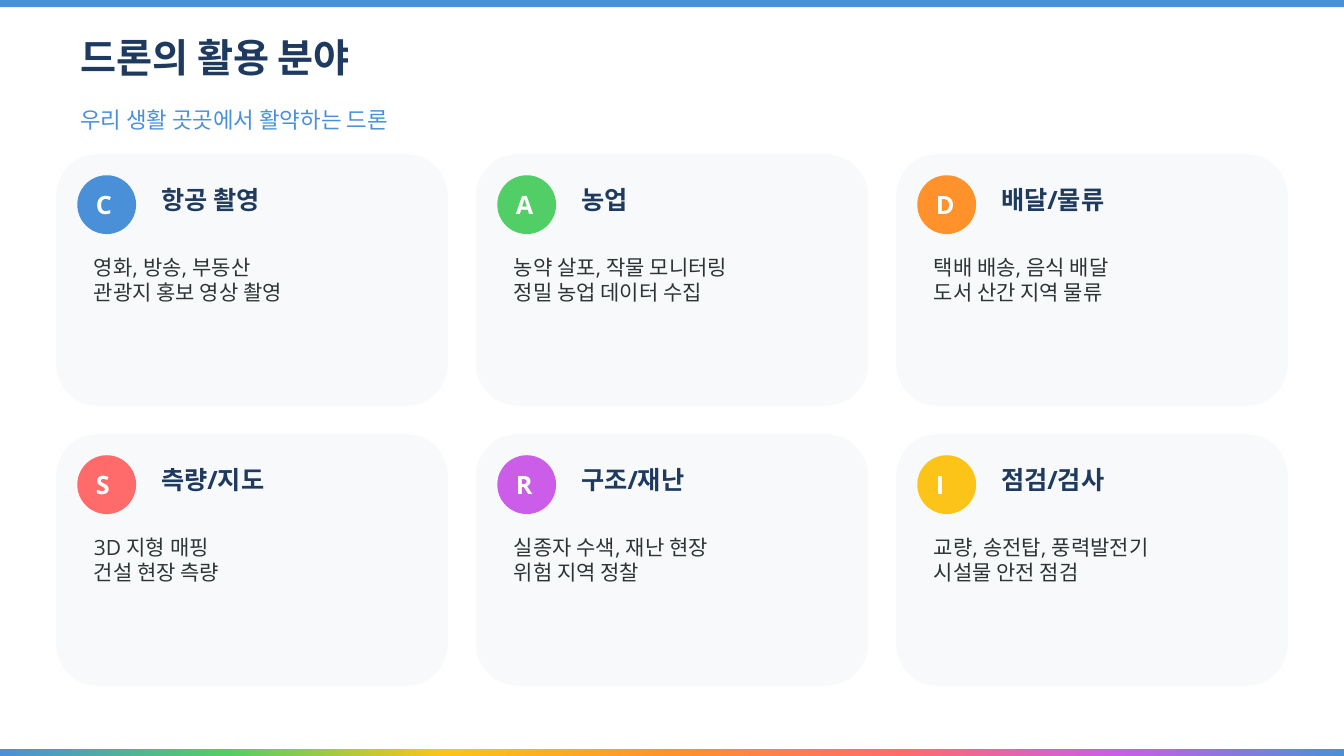
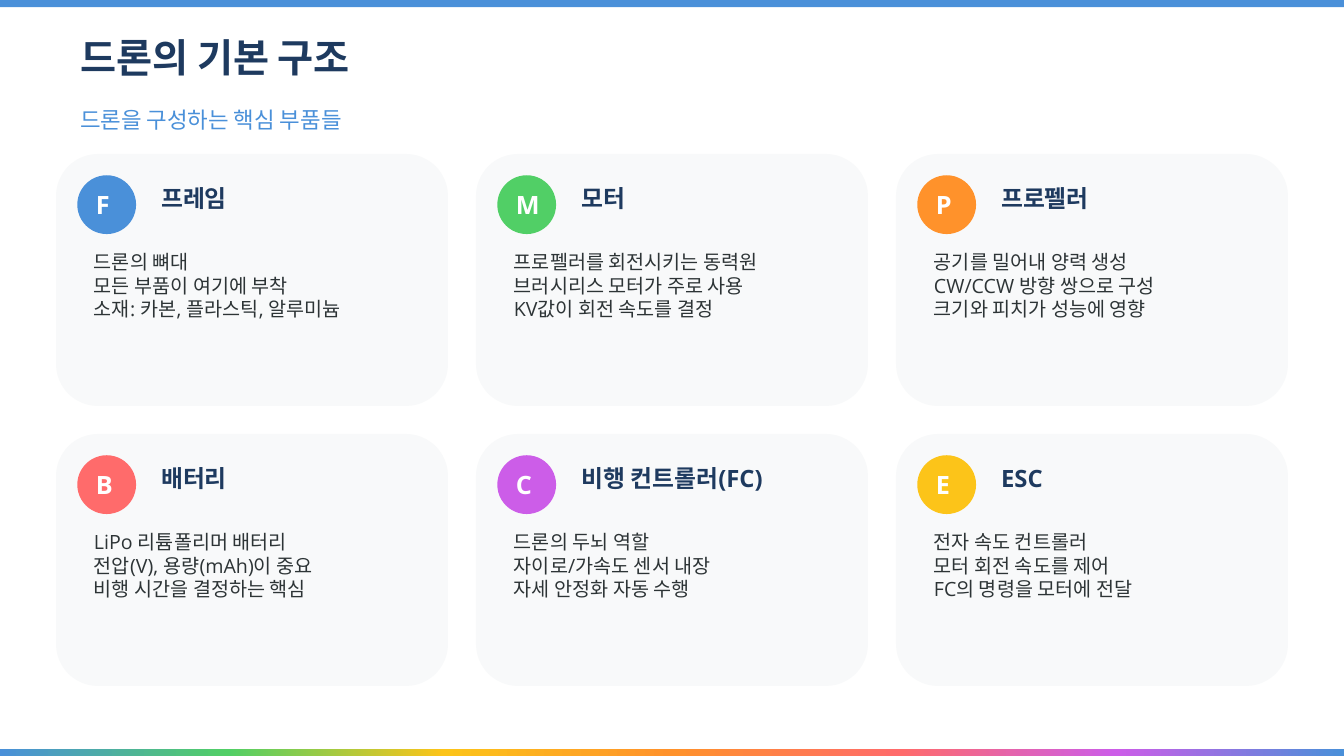
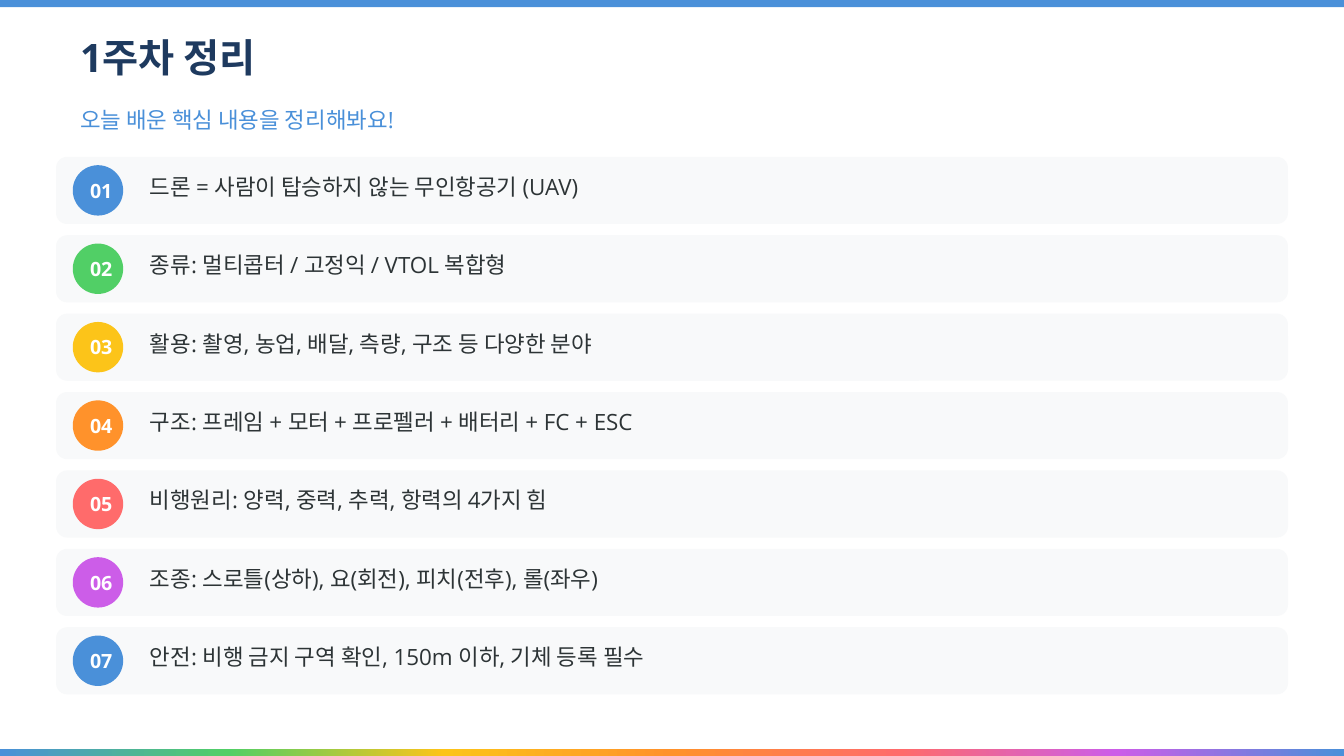
import lxml.etree
import pptx
import pptx.dml.color
import pptx.enum.shapes
import pptx.enum.text
import pptx.oxml.ns
import pptx.util

BLUE, GREEN, YELLOW = "4A90D9", "51CF66", "FCC419"
ORANGE, RED, PURPLE = "FF922B", "FF6B6B", "CC5DE8"
NAVY, INK, PANEL, WHITE = "1E3A5F", "2D3436", "F8F9FA", "FFFFFF"
SPECTRUM = [BLUE, GREEN, YELLOW, ORANGE, RED, PURPLE, BLUE]
CARD_COLORS = [BLUE, GREEN, ORANGE, RED, PURPLE, YELLOW]

color = pptx.dml.color.RGBColor.from_string
qn = pptx.oxml.ns.qn
RECTANGLE = pptx.enum.shapes.MSO_SHAPE.RECTANGLE
ROUNDED = pptx.enum.shapes.MSO_SHAPE.ROUNDED_RECTANGLE
OVAL = pptx.enum.shapes.MSO_SHAPE.OVAL

presentation = pptx.Presentation()
presentation.slide_width = pptx.util.Inches(13.33)
presentation.slide_height = pptx.util.Inches(7.5)
COLUMNS, ROWS = 24, 13.5
column = presentation.slide_width / COLUMNS
row = presentation.slide_height / ROWS


def draw(slide, kind, fill, left, top, width, height):
    box = [round(left * column), round(top * row), round(width * column), round(height * row)]
    if kind is None:
        return slide.shapes.add_textbox(*box)
    shape = slide.shapes.add_shape(kind, *box)
    shape.shadow.inherit = False
    shape.fill.solid()
    shape.fill.fore_color.rgb = color(fill)
    shape.line.fill.background()
    return shape


def write(shape, text, size, text_color, bold=False, badge=False):
    frame = shape.text_frame
    anchors, sizes = pptx.enum.text.MSO_ANCHOR, pptx.enum.text.MSO_AUTO_SIZE
    frame.word_wrap = not badge
    frame.vertical_anchor = anchors.MIDDLE if badge else anchors.TOP
    frame.auto_size = sizes.NONE if badge else sizes.SHAPE_TO_FIT_TEXT
    paragraph = frame.paragraphs[0]
    paragraph.text = text
    paragraph.alignment = pptx.enum.text.PP_ALIGN.LEFT
    paragraph.space_before = pptx.util.Pt(0)
    paragraph.font.name = "Open Sans"
    paragraph.font.size = pptx.util.Pt(size)
    paragraph.font.bold = bold
    paragraph.font.color.rgb = color(text_color)


layout = presentation.slide_layouts[1]
for placeholder, top, height in zip(layout.placeholders, (0.5, 1.8), (1.25, 0.7)):
    placeholder.left, placeholder.top = round(1.25 * column), round(top * row)
    placeholder.width, placeholder.height = round(21.5 * column), round(height * row)
    list_style = placeholder.element.find(".//" + qn("a:lstStyle"))
    level = lxml.etree.SubElement(list_style, qn("a:lvl1pPr"), marL="0", indent="0")
    lxml.etree.SubElement(level, qn("a:buNone"))

headers = [
    ("드론의 활용 분야", "우리 생활 곳곳에서 활약하는 드론"),
    ("드론의 기본 구조", "드론을 구성하는 핵심 부품들"),
    ("1주차 정리", "오늘 배운 핵심 내용을 정리해봐요!"),
]
slides = []
for title, subtitle in headers:
    slide = presentation.slides.add_slide(layout)
    write(slide.shapes.title, title, 28, NAVY, bold=True)
    write(slide.placeholders[1], subtitle, 16, BLUE)
    slides.append(slide)
uses_slide, parts_slide, summary_slide = slides

band_height = 0.13
top_band = draw(uses_slide, RECTANGLE, BLUE, 0, 0, COLUMNS, band_height)
bottom_band = draw(uses_slide, RECTANGLE, BLUE, 0, ROWS - band_height, COLUMNS, band_height)
bottom_band.fill.gradient()
bottom_band.fill.gradient_angle = 0
stops = bottom_band.element.find(".//" + qn("a:gsLst"))
stops.clear()
for index, stop_color in enumerate(SPECTRUM):
    position = round(100 * index / (len(SPECTRUM) - 1)) * 1000
    stop = lxml.etree.SubElement(stops, qn("a:gs"), pos=str(position))
    lxml.etree.SubElement(stop, qn("a:srgbClr"), val=stop_color)
for band in (top_band, bottom_band):
    layout.shapes.element.append(band.element)

uses = [
    ("C", "항공 촬영", "영화, 방송, 부동산\n관광지 홍보 영상 촬영"),
    ("A", "농업", "농약 살포, 작물 모니터링\n정밀 농업 데이터 수집"),
    ("D", "배달/물류", "택배 배송, 음식 배달\n도서 산간 지역 물류"),
    ("S", "측량/지도", "3D 지형 매핑\n건설 현장 측량"),
    ("R", "구조/재난", "실종자 수색, 재난 현장\n위험 지역 정찰"),
    ("I", "점검/검사", "교량, 송전탑, 풍력발전기\n시설물 안전 점검"),
]
parts = [
    ("F", "프레임", "드론의 뼈대\n모든 부품이 여기에 부착\n소재: 카본, 플라스틱, 알루미늄"),
    ("M", "모터", "프로펠러를 회전시키는 동력원\n브러시리스 모터가 주로 사용\nKV값이 회전 속도를 결정"),
    ("P", "프로펠러", "공기를 밀어내 양력 생성\nCW/CCW 방향 쌍으로 구성\n크기와 피치가 성능에 영향"),
    ("B", "배터리", "LiPo 리튬폴리머 배터리\n전압(V), 용량(mAh)이 중요\n비행 시간을 결정하는 핵심"),
    ("C", "비행 컨트롤러(FC)", "드론의 두뇌 역할\n자이로/가속도 센서 내장\n자세 안정화 자동 수행"),
    ("E", "ESC", "전자 속도 컨트롤러\n모터 회전 속도를 제어\nFC의 명령을 모터에 전달"),
]
card_slides = [(uses_slide, uses, 18, 15, 1.7), (parts_slide, parts, 17, 14, 1.63)]
for slide, cards, heading_size, detail_size, detail_top in card_slides:
    for index, (letter, heading, detail) in enumerate(cards):
        left = 1 + index % 3 * 7.5
        top = 2.75 + index // 3 * 5
        draw(slide, ROUNDED, PANEL, left, top, 7, 4.5)
        badge = draw(slide, OVAL, CARD_COLORS[index], left + 0.38, top + 0.38, 1.05, 1.05)
        write(badge, letter, 18, WHITE, bold=True, badge=True)
        heading_box = draw(slide, None, None, left + 1.7, top + 0.45, 4.88, 0.75)
        write(heading_box, heading, heading_size, NAVY, bold=True)
        detail_box = draw(slide, None, None, left + 0.5, top + detail_top, 6, 2.5)
        write(detail_box, detail, detail_size, INK)

summary = [
    "드론 = 사람이 탑승하지 않는 무인항공기 (UAV)",
    "종류: 멀티콥터 / 고정익 / VTOL 복합형",
    "활용: 촬영, 농업, 배달, 측량, 구조 등 다양한 분야",
    "구조: 프레임 + 모터 + 프로펠러 + 배터리 + FC + ESC",
    "비행원리: 양력, 중력, 추력, 항력의 4가지 힘",
    "조종: 스로틀(상하), 요(회전), 피치(전후), 롤(좌우)",
    "안전: 비행 금지 구역 확인, 150m 이하, 기체 등록 필수",
]
for index, point in enumerate(summary):
    top = 2.8 + index * 1.4
    draw(summary_slide, ROUNDED, PANEL, 1, top, 22, 1.2)
    badge = draw(summary_slide, OVAL, SPECTRUM[index], 1.3, top + 0.15, 0.9, 0.9)
    write(badge, f"{index + 1:02}", 14, WHITE, bold=True, badge=True)
    point_box = draw(summary_slide, None, None, 2.5, top + 0.2, 20, 0.8)
    write(point_box, point, 16, INK)

presentation.save("out.pptx")
